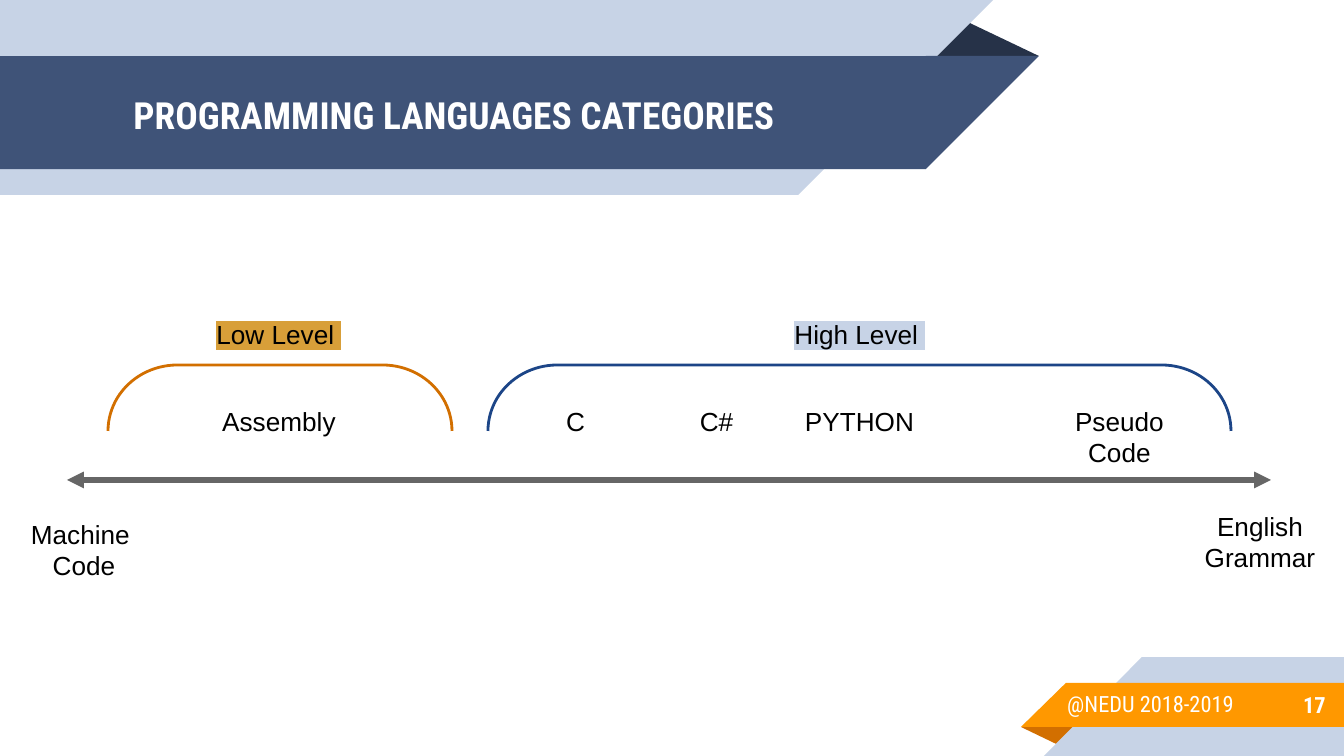
from lxml import etree
from pptx import Presentation, util as u
from pptx.dml.color import RGBColor
from pptx.enum import shapes, text
from pptx.oxml.ns import qn

PX = 914400 / 134.4
WHITE = RGBColor(255, 255, 255)
BLACK = RGBColor(0, 0, 0)
PALE = RGBColor(0xC7, 0xD3, 0xE6)
NAVY = RGBColor(0x3F, 0x53, 0x78)
DARK_NAVY = RGBColor(0x26, 0x32, 0x48)
ORANGE = RGBColor(0xFF, 0x98, 0x00)
DARK_ORANGE = RGBColor(0xD2, 0x6F, 0x00)
GOLD = RGBColor(0xD8, 0x9F, 0x39)
BLUE = RGBColor(0x1C, 0x45, 0x87)
GRAY = RGBColor(0x66, 0x66, 0x66)
HEADING_FONT = "Roboto Condensed"
BODY_FONT = "Arial"

TITLE = "PROGRAMMING LANGUAGES CATEGORIES"
FOOTER = "@NEDU 2018-2019"
PAGE_NUMBER = "17"

# Ribbons: left, top, length of the straight part, height, slant width, colour
HEADER_RIBBONS = [(0, 0, 798, 195, 195, PALE), (0, 56, 926, 113, 113, NAVY)]
FOOTER_RIBBONS = [(1142, 657, 202, 99, 98, PALE), (1066, 683, 278, 44, 45, ORANGE)]

# Brackets: left, width, colour
BRACKET_TOP, BRACKET_HEIGHT = 365, 66
BRACKETS = [(108, 344, DARK_ORANGE), (488, 743, BLUE)]

# Labels: words, left, top, width, height, highlight
LABELS = [
    ("Machine \vCode", 0, 505, 168, 89, None),
    ("English Grammar", 1176, 497, 168, 89, None),
    ("Low Level ", 130, 305, 298, 66, GOLD),
    ("High Level ", 711, 305, 298, 66, PALE),
    ("Assembly", 130, 392, 298, 66, None),
    ("C", 505, 392, 141, 66, None),
    ("C#", 646, 392, 141, 66, None),
    ("PYTHON", 789, 392, 141, 66, None),
    ("Pseudo Code", 1027, 392, 185, 66, None),
]


def px(*lengths):
    return [u.Emu(round(length * PX)) for length in lengths]


def add_solid(slide, kind, box, color, flip=False, rotation=0):
    shape = slide.shapes.add_shape(kind, *px(*box))
    shape.shadow.inherit = False
    shape.fill.solid()
    shape.fill.fore_color.rgb = color
    shape.line.fill.background()
    shape.rotation = rotation
    if flip:
        shape._element.spPr.find(qn("a:xfrm")).set("flipH", "1")
    return shape


def add_ribbon(slide, ribbon, header):
    """Draw a bar with a slanted end: on the right in the header, on the left in the footer."""
    left, top, length, height, slant, color = ribbon
    slant_left = left + length if header else left - slant
    rotation = 180 if header else 0
    add_solid(slide, shapes.MSO_SHAPE.RECTANGLE, (left, top, length, height), color, True, rotation)
    add_solid(slide, shapes.MSO_SHAPE.RIGHT_TRIANGLE, (slant_left, top, slant, height),
              color, True, rotation)


def add_fold(slide, box, color, rotation):
    fold = add_solid(slide, shapes.MSO_SHAPE.ISOSCELES_TRIANGLE, box, color, rotation=rotation)
    fold.adjustments[0] = 0.32


def add_bracket(slide, left, width, color):
    """Draw a left bracket turned so that it opens downwards."""
    shift = (width - BRACKET_HEIGHT) / 2
    bracket = slide.shapes.add_shape(
        shapes.MSO_SHAPE.LEFT_BRACKET,
        *px(left + shift, BRACKET_TOP - shift, BRACKET_HEIGHT, width))
    bracket.rotation = 90
    bracket.adjustments[0] = 1.05
    bracket.shadow.inherit = False
    bracket.fill.background()
    bracket.line.color.rgb = color
    bracket.line.width = u.Pt(1.5)


def add_axis(slide):
    axis = slide.shapes.add_connector(shapes.MSO_CONNECTOR.STRAIGHT, *px(67, 480, 1271, 480))
    axis.line.color.rgb = GRAY
    axis.line.width = u.Pt(3)
    line = axis.line._get_or_add_ln()
    for end in ("a:headEnd", "a:tailEnd"):
        etree.SubElement(line, qn(end), type="triangle")
    etree.SubElement(axis._element.spPr, qn("a:effectLst"))


def set_text(shape, words, size, font, color, align, bold=False, middle=False):
    frame = shape.text_frame
    frame.word_wrap = True
    frame.auto_size = text.MSO_AUTO_SIZE.NONE
    frame.vertical_anchor = text.MSO_ANCHOR.MIDDLE if middle else text.MSO_ANCHOR.TOP
    frame.margin_left = frame.margin_right = u.Inches(0.1)
    frame.margin_top = frame.margin_bottom = u.Inches(0.1)
    frame.text = words
    paragraph = frame.paragraphs[0]
    paragraph.alignment = align
    for run in paragraph.runs:
        run.font.size = u.Pt(size)
        run.font.name = font
        run.font.bold = bold
        run.font.color.rgb = color


def highlight(shape, color):
    for run in shape.text_frame.paragraphs[0].runs:
        mark = etree.Element(qn("a:highlight"))
        etree.SubElement(mark, qn("a:srgbClr"), val=str(color))
        run.font._element.find(qn("a:solidFill")).addnext(mark)


def add_title(slide):
    title = slide.shapes.title
    title.left, title.top, title.width, title.height = px(120, 58, 773, 113)
    set_text(title, TITLE, 20, HEADING_FONT, WHITE, text.PP_ALIGN.LEFT, bold=True, middle=True)
    slide.shapes._spTree.append(title._element)  # bring in front of the ribbons


def main():
    presentation = Presentation()
    presentation.slide_width, presentation.slide_height = px(1344, 756)
    slide = presentation.slides.add_slide(presentation.slide_layouts[5])

    add_fold(slide, (925, 19, 114, 37), DARK_NAVY, 0)
    for ribbon in HEADER_RIBBONS:
        add_ribbon(slide, ribbon, header=True)
    add_fold(slide, (1021, 727, 58, 19), DARK_ORANGE, 180)
    for ribbon in FOOTER_RIBBONS:
        add_ribbon(slide, ribbon, header=False)
    add_title(slide)

    number = slide.shapes.add_textbox(*px(1120, 681, 219, 47))
    set_text(number, PAGE_NUMBER, 12, HEADING_FONT, WHITE, text.PP_ALIGN.RIGHT,
             bold=True, middle=True)
    footer = slide.shapes.add_textbox(*px(1054, 677, 241, 74))
    set_text(footer, FOOTER, 12, HEADING_FONT, WHITE, text.PP_ALIGN.LEFT)

    add_axis(slide)
    for bracket in BRACKETS:
        add_bracket(slide, *bracket)
    for words, left, top, width, height, mark in LABELS:
        label = slide.shapes.add_textbox(*px(left, top, width, height))
        set_text(label, words, 14, BODY_FONT, BLACK, text.PP_ALIGN.CENTER)
        if mark is not None:
            highlight(label, mark)

    presentation.save("out.pptx")


if __name__ == "__main__":
    main()
